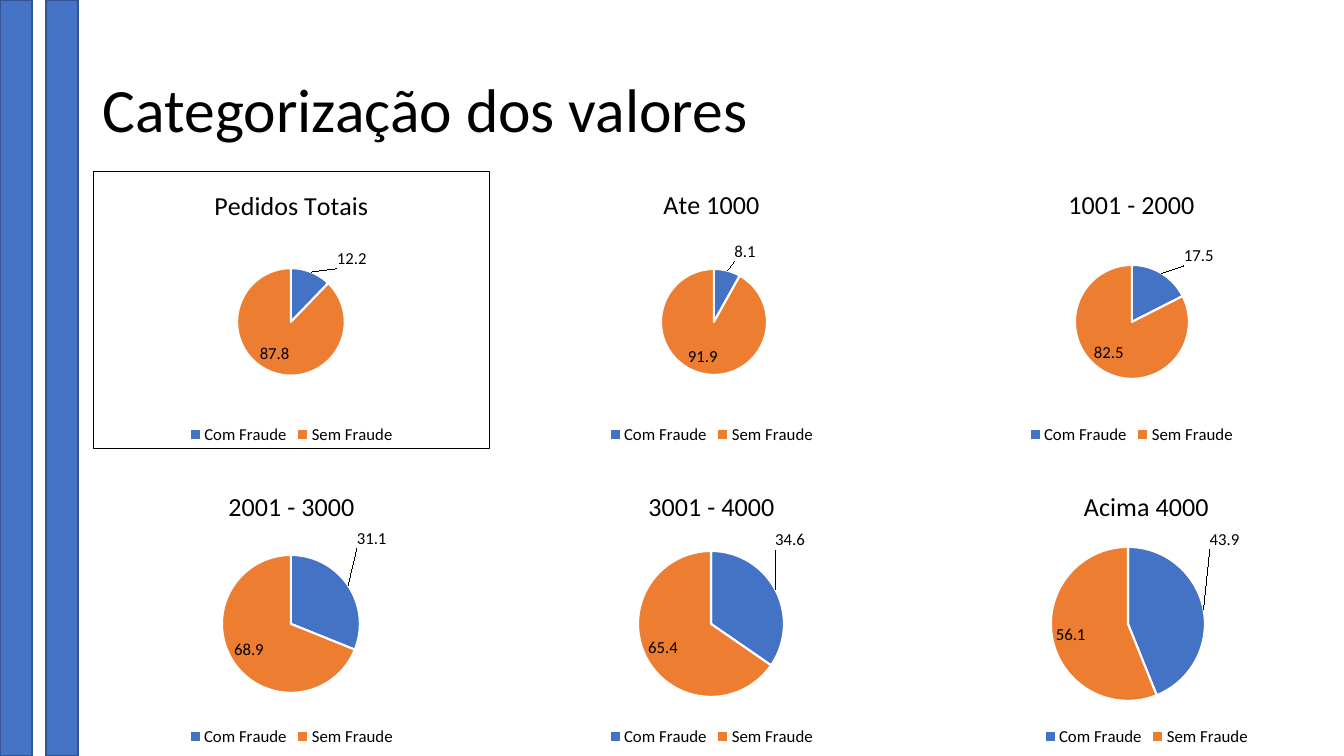
from math import cos, pi, sin

from pptx import Presentation
from pptx.chart.data import CategoryChartData
from pptx.dml.color import RGBColor
from pptx.enum.chart import XL_CHART_TYPE, XL_LABEL_POSITION, XL_LEGEND_POSITION
from pptx.enum.shapes import MSO_SHAPE
from pptx.enum.text import MSO_ANCHOR
from pptx.oxml import parse_xml
from pptx.oxml.ns import nsdecls
from pptx.util import Pt

PIE = XL_CHART_TYPE.PIE
OUTSIDE, BEST_FIT = XL_LABEL_POSITION.OUTSIDE_END, XL_LABEL_POSITION.BEST_FIT
BOTTOM = XL_LEGEND_POSITION.BOTTOM
RECTANGLE = MSO_SHAPE.RECTANGLE
MIDDLE = MSO_ANCHOR.MIDDLE

SCALE = 914400 / 100.8
FONT = "Calibri"
COLORS = {"blue": "4472C4", "edge": "325491", "orange": "ED7D31",
          "black": "000000", "white": "FFFFFF"}
CATEGORIES = ["Com Fraude", "Sem Fraude"]
CHART_WIDTH, CHART_HEIGHT = 397, 278
LABEL_WIDTH, LABEL_HEIGHT = 30, 16

# Title, fraud share, chart left and top, pie centre x, radius, fraud label centre
# (the last three relative to the chart)
PIES = [
    ("Pedidos Totais", 12.2, 93, 171, 198, 54, (257, 95)),
    ("Ate 1000", 8.1, 513, 171, 201, 53, (235, 88)),
    ("1001 - 2000", 17.5, 933, 171, 199, 57, (263, 92)),
    ("2001 - 3000", 31.1, 93, 473, 198, 69, (274, 71)),
    ("3001 - 4000", 34.6, 513, 473, 198, 73, (272, 72)),
    ("Acima 4000", 43.9, 948, 473, 180, 77, (271, 70)),
]
PIE_CENTRE_Y = 151


def px(value):
    return round(value * SCALE)


def color(name):
    return RGBColor.from_string(COLORS[name])


def style_font(font, size):
    font.name = FONT
    font.size = Pt(size)
    font.color.rgb = color("black")


def manual_layout(x, y, size=None):
    """Layout from pixels of the chart; with a size it places the inner plot."""
    parts = [("x", x / CHART_WIDTH), ("y", y / CHART_HEIGHT)]
    modes = ""
    if size:
        parts += [("w", size / CHART_WIDTH), ("h", size / CHART_HEIGHT)]
        modes = ('<c:layoutTarget val="inner"/><c:xMode val="edge"/>'
                 '<c:yMode val="edge"/>')
    values = "".join(f'<c:{key} val="{value:.4f}"/>' for key, value in parts)
    return parse_xml(f'<c:layout {nsdecls("c")}><c:manualLayout>{modes}{values}'
                     '</c:manualLayout></c:layout>')


def add_side_bars(page, box):
    left, top, width, height = box
    for offset in (0, 46):
        bar = page.shapes.add_shape(RECTANGLE, px(left + offset), px(top),
                                    px(width), px(height))
        bar.shadow.inherit = False
        bar.fill.solid()
        bar.fill.fore_color.rgb = color("blue")
        bar.line.color.rgb = color("edge")
        bar.line.width = Pt(1)


def add_title(page, box, text):
    frame = page.shapes.add_textbox(*map(px, box)).text_frame
    frame.word_wrap = True
    frame.vertical_anchor = MIDDLE
    frame.text = text
    para = frame.paragraphs[0]
    para.line_spacing = 0.9
    style_font(para.runs[0].font, 44)


def set_chart_area(chart, filled, bordered):
    fill, line = (
        f'<a:solidFill><a:srgbClr val="{COLORS[name]}"/></a:solidFill>' if shown
        else "<a:noFill/>"
        for name, shown in (("white", filled), ("black", bordered)))
    chart.element.xpath("c:chart")[0].addnext(parse_xml(
        f'<c:spPr {nsdecls("c", "a")}>{fill}<a:ln w="12700">{line}</a:ln></c:spPr>'))


def add_pie(page, box, title, share, centre_x, radius, label_centre):
    data = CategoryChartData(number_format="General")
    data.categories = CATEGORIES
    data.add_series(title, (share, round(100 - share, 1)))
    chart = page.shapes.add_chart(PIE, *map(px, box), data).chart
    style_font(chart.font, 10)
    set_chart_area(chart, title != "Ate 1000", title == "Pedidos Totais")

    # Title and legend
    chart.has_title = True
    chart.chart_title.text_frame.text = title
    title_font = chart.chart_title.text_frame.paragraphs[0].runs[0].font
    style_font(title_font, 18.6)
    title_font.bold = False
    chart.has_legend = True
    chart.legend.position = BOTTOM
    chart.legend.include_in_layout = False
    style_font(chart.legend.font, 12)

    # Slices
    chart.plots[0].vary_by_categories = True
    series = chart.plots[0].series[0]
    for index, name in enumerate(("blue", "orange")):
        slice_format = series.points[index].format
        slice_format.fill.solid()
        slice_format.fill.fore_color.rgb = color(name)
        slice_format.line.color.rgb = color("white")
        slice_format.line.width = Pt(1.5)
    plot_area = chart.element.xpath("c:chart/c:plotArea")[0]
    for layout in plot_area.xpath("c:layout"):
        plot_area.remove(layout)
    plot_area.insert(0, manual_layout(centre_x - radius, PIE_CENTRE_Y - radius,
                                      2 * radius))

    # Value labels; the fraud label is moved away from the middle of its arc
    labels = series.data_labels
    labels.show_value = True
    labels.position = BEST_FIT
    style_font(labels.font, 12)
    fraud_label = series.points[0].data_label
    fraud_label.position = OUTSIDE
    style_font(fraud_label.font, 12)
    angle = pi * share / 100
    start_x = centre_x + radius * sin(angle) + LABEL_WIDTH / 2
    start_y = PIE_CENTRE_Y - radius * cos(angle) - LABEL_HEIGHT / 2
    chart.element.xpath(".//c:dLbl/c:idx")[0].addnext(
        manual_layout(label_centre[0] - start_x, label_centre[1] - start_y))


deck = Presentation()
deck.slide_width, deck.slide_height = px(1344), px(756)
page = deck.slides.add_slide(deck.slide_layouts[6])
add_side_bars(page, (0, 0, 32, 756))
add_title(page, (93, 40, 773, 146), "Categorização dos valores")
for title, share, left, top, centre_x, radius, label_centre in PIES:
    add_pie(page, (left, top, CHART_WIDTH, CHART_HEIGHT),
            title, share, centre_x, radius, label_centre)
deck.save("out.pptx")
